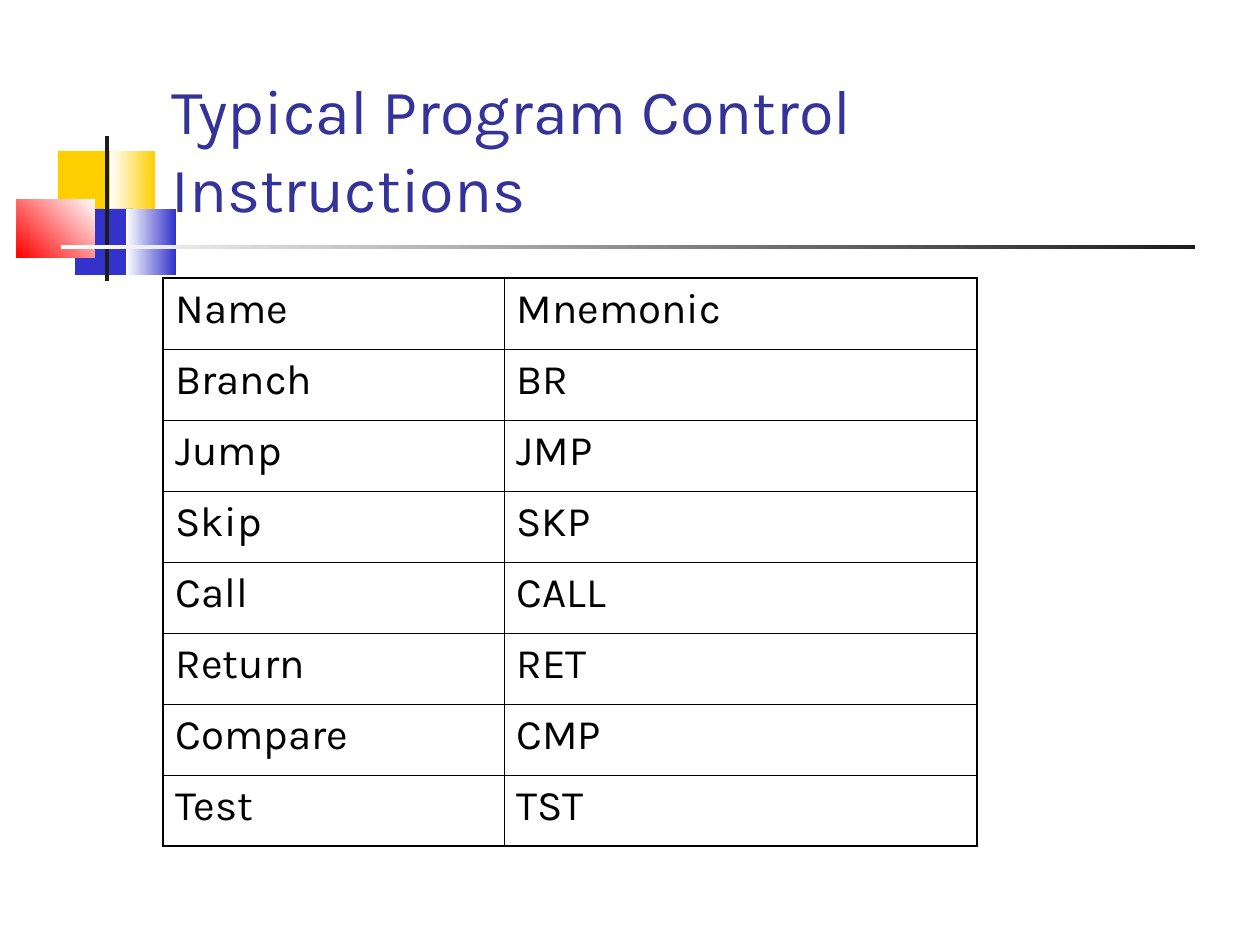
import pptx
import pptx.dml.color
import pptx.enum.shapes
import pptx.enum.text
import pptx.oxml
import pptx.oxml.ns
import pptx.util

RGBColor = pptx.dml.color.RGBColor
EMU_PER_PX = 914400 / 126

BLACK = RGBColor(0x00, 0x00, 0x00)
CHARCOAL = RGBColor(0x1C, 0x1C, 0x1C)
WHITE = RGBColor(0xFF, 0xFF, 0xFF)
YELLOW = RGBColor(0xFF, 0xCF, 0x01)
BLUE = RGBColor(0x33, 0x33, 0xCC)
RED = RGBColor(0xFF, 0x00, 0x00)
NAVY = RGBColor(0x33, 0x33, 0x99)

INSTRUCTIONS = [
    ("Name", "Mnemonic"),
    ("Branch", "BR"),
    ("Jump", "JMP"),
    ("Skip", "SKP"),
    ("Call", "CALL"),
    ("Return", "RET"),
    ("Compare", "CMP"),
    ("Test", "TST"),
]


def px(length):
    return pptx.util.Emu(round(length * EMU_PER_PX))


def write_text(frame, text, *, font, size, color, line_spacing=1.02):
    para = frame.paragraphs[0]
    para.alignment = pptx.enum.text.PP_ALIGN.LEFT
    para.line_spacing = line_spacing
    para.space_before = pptx.util.Pt(0)
    span = para.add_run()
    span.text = text
    span.font.name = font
    span.font.size = pptx.util.Pt(size)
    span.font.color.rgb = color


def add_border(cell, side, width):
    """Draw one side of a cell: L, R, T or B, with the width in points."""
    line = pptx.oxml.parse_xml(
        f'<a:ln{side} {pptx.oxml.ns.nsdecls("a")} w="{pptx.util.Pt(width)}">'
        f'<a:solidFill><a:srgbClr val="{BLACK}"/></a:solidFill></a:ln{side}>'
    )
    cell._tc.get_or_add_tcPr().append(line)


class SlideBuilder:
    font = "Karla"
    title_size = 36
    cell_size = 24
    outer_border = 1.08
    inner_border = 0.45

    def __init__(self, page):
        self.page = page

    def block(self, left, top, width, height, color, end_color=None, angle=180):
        """Add a borderless rectangle, graded from color to end_color if given."""
        box = self.page.shapes.add_shape(
            pptx.enum.shapes.MSO_SHAPE.RECTANGLE,
            px(left), px(top), px(width), px(height))
        box.shadow.inherit = False
        box.line.fill.background()
        if end_color is None:
            box.fill.solid()
            box.fill.fore_color.rgb = color
        else:
            box.fill.gradient()
            box.fill.gradient_angle = angle
            for stop, stop_color in zip(box.fill.gradient_stops, (color, end_color)):
                stop.color.rgb = stop_color

    def title(self, text, left, top, width, height):
        box = self.page.shapes.title
        box.left, box.top, box.width, box.height = map(px, (left, top, width, height))
        frame = box.text_frame
        frame.word_wrap = True
        frame.auto_size = pptx.enum.text.MSO_AUTO_SIZE.NONE
        frame.vertical_anchor = pptx.enum.text.MSO_ANCHOR.BOTTOM
        write_text(frame, text, font=self.font, size=self.title_size, color=NAVY)
        # Bring the title in front of the decoration
        self.page.shapes._spTree.append(box._element)

    def table(self, rows, left, top, column_widths, row_height):
        table = self.page.shapes.add_table(
            len(rows), len(column_widths), px(left), px(top),
            px(sum(column_widths)), px(row_height * len(rows))).table
        table.first_row = False
        table.horz_banding = False
        for column, width in zip(table.columns, column_widths):
            column.width = px(width)
        last_row, last_column = len(rows) - 1, len(column_widths) - 1
        for r, row in enumerate(rows):
            table.rows[r].height = px(row_height)
            for c, text in enumerate(row):
                cell = table.cell(r, c)
                on_edge = {"L": c == 0, "R": c == last_column,
                           "T": r == 0, "B": r == last_row}
                for side, outer in on_edge.items():
                    add_border(cell, side, self.outer_border if outer else self.inner_border)
                cell.fill.background()
                write_text(cell.text_frame, text,
                           font=self.font, size=self.cell_size, color=BLACK)


def main():
    deck = pptx.Presentation()
    deck.slide_width, deck.slide_height = px(1260), px(945)
    title_only = deck.slide_layouts[5]
    builder = SlideBuilder(deck.slides.add_slide(title_only))

    builder.block(58, 151, 60, 66, YELLOW)
    builder.block(110, 151, 45, 66, YELLOW, WHITE)
    builder.block(75, 209, 58, 66, BLUE)
    builder.block(126, 209, 50, 66, BLUE, WHITE)
    builder.block(17, 199, 78, 59, WHITE, RED, angle=225)
    builder.block(105, 136, 4, 145, CHARCOAL)
    builder.block(61, 245, 1134, 4, CHARCOAL, WHITE)

    builder.title("Typical Program Control Instructions", 159, 29, 1060, 202)
    builder.table(INSTRUCTIONS, 163, 278, (341, 473), 71)

    deck.save("out.pptx")


if __name__ == "__main__":
    main()
